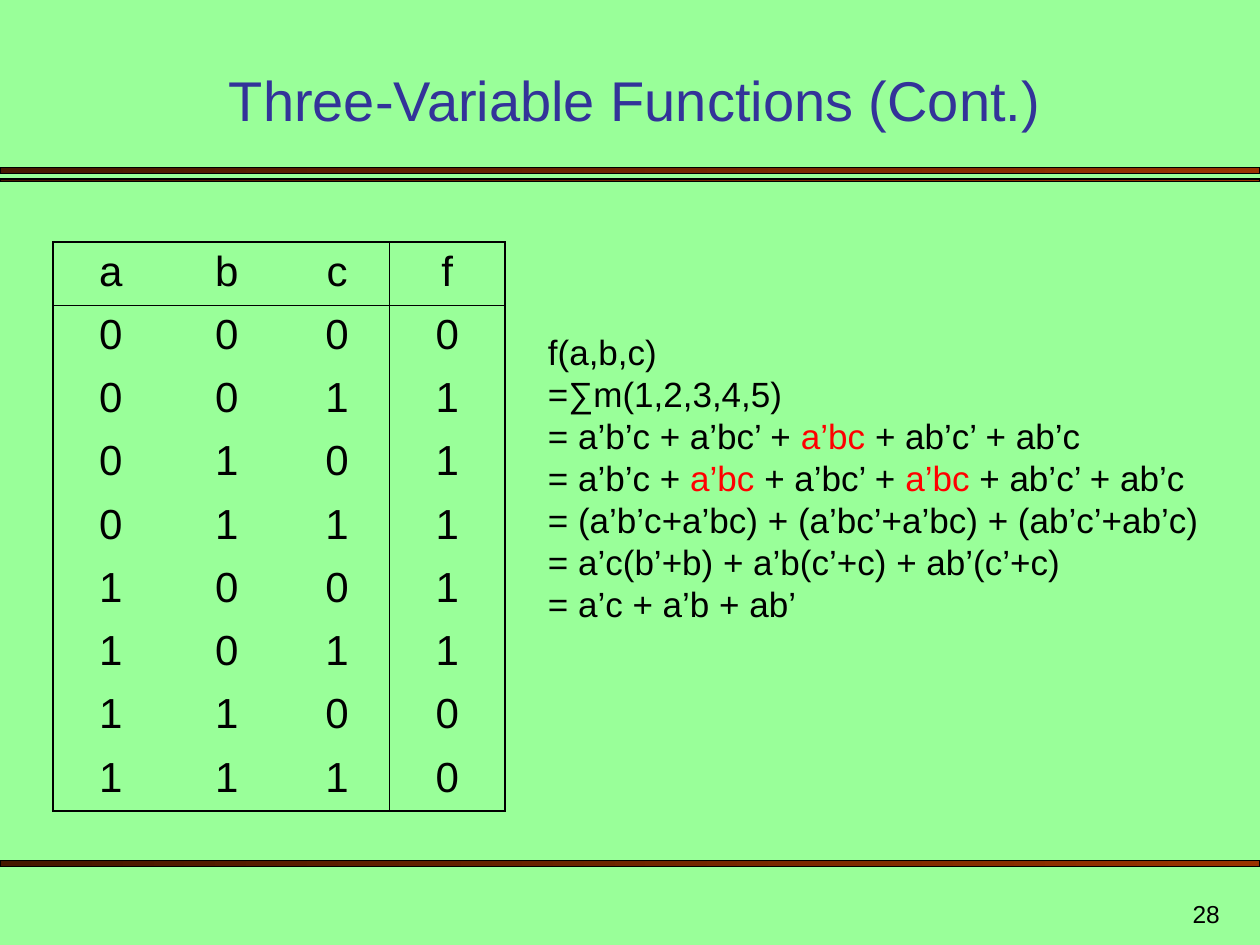
import pptx
import pptx.dml.color
import pptx.enum.shapes
import pptx.enum.text
import pptx.oxml
import pptx.oxml.ns
import pptx.util
from pptx.util import Inches

RGB = pptx.dml.color.RGBColor
ALIGN = pptx.enum.text.PP_ALIGN
ANCHOR = pptx.enum.text.MSO_ANCHOR

GREEN = RGB(0x99, 0xFF, 0x99)
BLUE = RGB(0x33, 0x33, 0x99)
RUST = RGB(0x99, 0x33, 0x00)
BROWN = RGB(0x46, 0x17, 0x00)
BLACK = RGB(0, 0, 0)
RED = RGB(0xFF, 0, 0)

THICK, THIN = 1.08, 0.45
COLS = (0.92, 0.92, 0.83, 0.92)
MINTERMS = (1, 2, 3, 4, 5)
STEPS = (
    (
        ("f(a,b,c)",),
        ("=∑m(1,2,3,4,5)",),
        ("= a’b’c + a’bc’ + ", "a’bc", " + ab’c’ + ab’c"),
        ("= a’b’c + ", "a’bc", " + a’bc’ + ", "a’bc", " + ab’c’ + ab’c"),
    ),
    (("= (a’b’c+a’bc) + (a’bc’+a’bc) + (ab’c’+ab’c)",),),
    (("= a’c(b’+b) + a’b(c’+c) + ab’(c’+c)",),),
    (("= a’c + a’b + ab’",),),
)


def style(para, size, color=BLACK, align=ALIGN.LEFT):
    """Set the font and alignment of a paragraph."""
    para.alignment = align
    para.font.name = "Arial"
    para.font.size = pptx.util.Pt(size)
    para.font.color.rgb = color


def add_bar(slide, left, top, width, height):
    """Draw one outlined rule with a brown gradient."""
    kind = pptx.enum.shapes.MSO_SHAPE.RECTANGLE
    bar = slide.shapes.add_shape(kind, left, top, width, height)
    bar.shadow.inherit = False
    bar.fill.gradient()
    bar.fill.gradient_angle = 180
    for stop, color in zip(bar.fill.gradient_stops, (RUST, BROWN)):
        stop.color.rgb = color
    bar.line.color.rgb = BLACK
    bar.line.width = pptx.util.Pt(0.75)


def set_title(slide, left, top, width, height):
    """Place and format the title."""
    title = slide.shapes.title
    title.left, title.top, title.width, title.height = left, top, width, height
    frame = title.text_frame
    frame.auto_size = pptx.enum.text.MSO_AUTO_SIZE.NONE
    frame.vertical_anchor = ANCHOR.BOTTOM
    frame.text = "Three-Variable Functions (Cont.)"
    style(frame.paragraphs[0], 32, BLUE, ALIGN.CENTER)


def set_edge(cell, side, width):
    """Give one side of a cell a black line, or none at width zero."""
    space = pptx.oxml.ns.nsdecls("a")
    fill = "<a:noFill/>"
    if width:
        fill = f'<a:solidFill><a:srgbClr val="{BLACK}"/></a:solidFill>'
    points = pptx.util.Pt(width)
    line = f'<a:ln{side} {space} w="{points}">{fill}</a:ln{side}>'
    cell._tc.get_or_add_tcPr().append(pptx.oxml.parse_xml(line))


def add_truth(slide, left, top, width, height):
    """Build the truth table from the list of minterms."""
    rows = ["abcf"]
    rows += [f"{num:03b}{int(num in MINTERMS)}" for num in range(8)]
    last, end = len(rows) - 1, len(COLS) - 1
    frame = slide.shapes.add_table(len(rows), len(COLS), left, top, width, height)
    table = frame.table
    table.first_row = table.horz_banding = False
    for col, size in zip(table.columns, COLS):
        col.width = Inches(size)
    for y, row in enumerate(rows):
        table.rows[y].height = int(height / len(rows))
        for x, mark in enumerate(row):
            cell = table.cell(y, x)
            cell.text = mark
            style(cell.text_frame.paragraphs[0], 24, align=ALIGN.CENTER)
            set_edge(cell, "L", {0: THICK, end: THIN}.get(x, 0))
            set_edge(cell, "R", {end - 1: THIN, end: THICK}.get(x, 0))
            set_edge(cell, "T", {0: THICK, 1: THIN}.get(y, 0))
            set_edge(cell, "B", {0: THIN, last: THICK}.get(y, 0))
            cell.fill.background()


def add_proof(slide, left, top, width, height):
    """Write the derivation, with every second part of a line in red."""
    frame = slide.shapes.add_textbox(left, top, width, height).text_frame
    frame.word_wrap = True
    for step, lines in enumerate(STEPS):
        para = frame.add_paragraph() if step else frame.paragraphs[0]
        for row, parts in enumerate(lines):
            if row:
                para.add_line_break()
            for spot, part in enumerate(parts):
                run = para.add_run()
                run.text = part
                if spot % 2:
                    run.font.color.rgb = RED
        style(para, 20)


def add_number(slide, left, top, width, height):
    """Write the page number."""
    frame = slide.shapes.add_textbox(left, top, width, height).text_frame
    frame.word_wrap = True
    frame.vertical_anchor = ANCHOR.BOTTOM
    frame.text = "28"
    style(frame.paragraphs[0], 14, align=ALIGN.RIGHT)


def main():
    """Build and save the slide."""
    deck = pptx.Presentation()
    deck.slide_width, deck.slide_height = Inches(10), Inches(7.5)
    slide = deck.slides.add_slide(deck.slide_layouts[5])
    slide.background.fill.solid()
    slide.background.fill.fore_color.rgb = GREEN
    for top, height in ((1.33, 0.05), (1.42, 0.02), (6.83, 0.05)):
        add_bar(slide, 0, Inches(top), deck.slide_width, Inches(height))
    set_title(slide, Inches(0.58), Inches(0.42), Inches(8.92), Inches(0.68))
    add_truth(slide, Inches(0.42), Inches(1.92), Inches(sum(COLS)), Inches(4.52))
    add_proof(slide, Inches(4.25), Inches(2.57), Inches(5.58), Inches(2.44))
    add_number(slide, Inches(7.7), Inches(7), Inches(2.08), Inches(0.42))
    deck.save("out.pptx")


if __name__ == "__main__":
    main()
